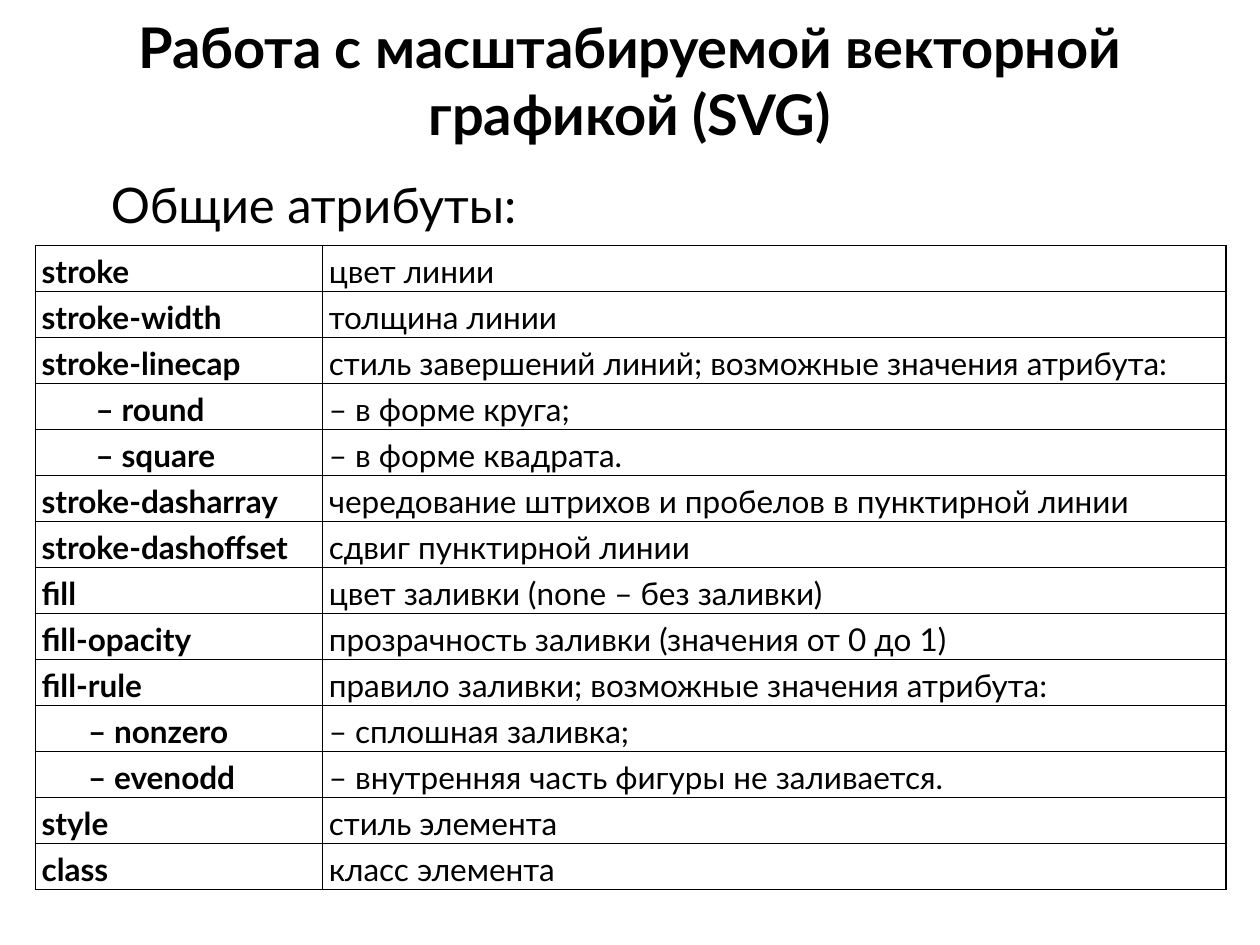
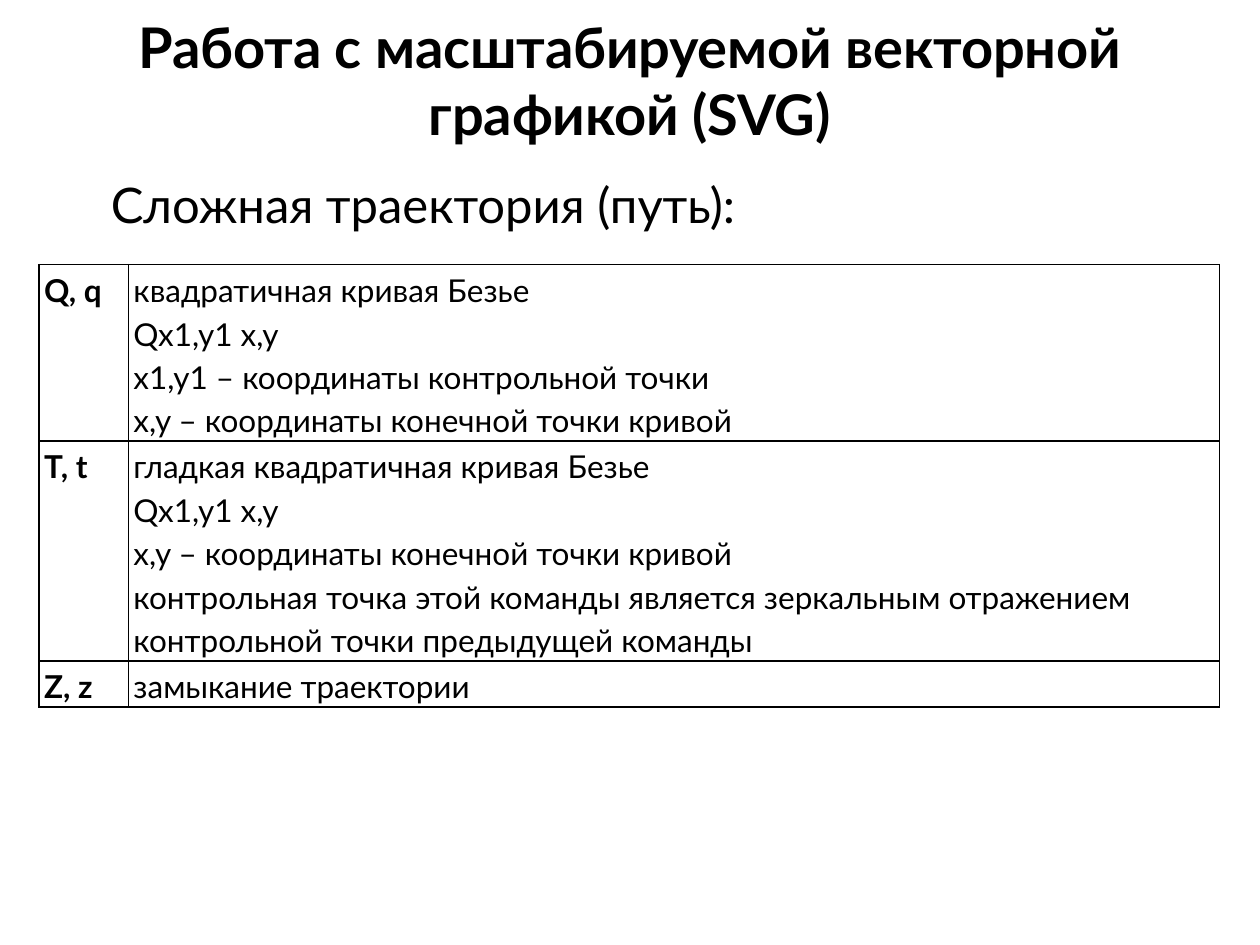
from dataclasses import dataclass

from lxml import etree
from pptx import Presentation
from pptx.dml.color import RGBColor
from pptx.enum.text import MSO_AUTO_SIZE, PP_ALIGN
from pptx.oxml.ns import qn
from pptx.util import Pt

PX = 9144
CENTER = PP_ALIGN.CENTER
LEFT = PP_ALIGN.LEFT
GROW = MSO_AUTO_SIZE.SHAPE_TO_FIT_TEXT
SIDES = ("lnL", "lnR", "lnT", "lnB")


@dataclass(frozen=True)
class Theme:
    font: str = "Lato"
    ink: str = "000000"
    paper: str = "FFFFFF"
    title: int = 32
    heading: int = 28
    body: int = 18
    border: int = 1
    tracking: int = -10


TITLE = "Работа с масштабируемой векторной графикой (SVG)"

ATTRIBUTES = [
    ("stroke", "цвет линии"),
    ("stroke-width", "толщина линии"),
    ("stroke-linecap", "стиль завершений линий; возможные значения атрибута:"),
    ("– round", "– в форме круга;"),
    ("– square", "– в форме квадрата."),
    ("stroke-dasharray", "чередование штрихов и пробелов в пунктирной линии"),
    ("stroke-dashoffset", "сдвиг пунктирной линии"),
    ("fill", "цвет заливки (none – без заливки)"),
    ("fill-opacity", "прозрачность заливки (значения от 0 до 1)"),
    ("fill-rule", "правило заливки; возможные значения атрибута:"),
    ("– nonzero", "– сплошная заливка;"),
    ("– evenodd", "– внутренняя часть фигуры не заливается."),
    ("style", "стиль элемента"),
    ("class", "класс элемента"),
]
VALUE_INDENTS = {"– round": 43, "– square": 43, "– nonzero": 37, "– evenodd": 37}

PATH_COMMANDS = [
    ("Q, q", "квадратичная кривая Безье\n"
             "Qx1,y1 x,y\n"
             "x1,y1 – координаты контрольной точки\n"
             "x,y – координаты конечной точки кривой"),
    ("T, t", "гладкая квадратичная кривая Безье\n"
             "Qx1,y1 x,y\n"
             "x,y – координаты конечной точки кривой\n"
             "контрольная точка этой команды является зеркальным отражением "
             "контрольной точки предыдущей команды"),
    ("Z, z", "замыкание траектории"),
]


def apply(target, values):
    for name, value in values.items():
        setattr(target, name, value)


class Deck:
    def __init__(self, theme):
        self.theme = theme
        self.prs = Presentation()
        apply(self.prs, {"slide_width": 1000 * PX, "slide_height": 750 * PX})
        self.s = None

    def slide(self, heading):
        self.s = self.prs.slides.add_slide(self.prs.slide_layouts[6])
        self.title(TITLE)
        self.heading(heading)

    def paragraph(self, p, text, size, bold=False, indent=0, **layout):
        p.text = text
        apply(p, layout)
        if indent:
            p._p.get_or_add_pPr().set("marL", str(indent * PX))
        for r in p.runs:
            apply(r.font, {"name": self.theme.font, "size": Pt(size), "bold": bold})
            r.font.color.rgb = RGBColor.from_string(self.theme.ink)

    def text_box(self, left, top, width, height, **frame):
        sp = self.s.shapes.add_textbox(left * PX, top * PX, width * PX, height * PX)
        tf = sp.text_frame
        apply(tf, {"word_wrap": True, "auto_size": GROW, **frame})
        return tf.paragraphs[0]

    def title(self, text):
        p = self.text_box(0, 5, 1000, 118)
        self.paragraph(p, text, self.theme.title, bold=True, alignment=CENTER)
        for r in p.runs:
            r._r.get_or_add_rPr().set("spc", str(self.theme.tracking))

    def heading(self, text):
        p = self.text_box(87, 130, 827, 52, margin_left=0, margin_top=7 * PX,
                          margin_right=0, margin_bottom=0)
        self.paragraph(p, text, self.theme.heading, indent=1, alignment=LEFT,
                       line_spacing=Pt(34.6), space_before=Pt(5.3))

    def border(self, cell):
        tcPr = cell._tc.get_or_add_tcPr()
        for side in SIDES:
            ln = etree.SubElement(tcPr, qn(f"a:{side}"), w=str(Pt(self.theme.border)))
            fill = etree.SubElement(ln, qn("a:solidFill"))
            etree.SubElement(fill, qn("a:srgbClr"), val=self.theme.ink)

    def table(self, left, top, widths, heights, rows, inset, indents):
        frame = self.s.shapes.add_table(len(rows), len(widths), left * PX, top * PX,
                                        sum(widths) * PX, sum(heights) * PX)
        table = frame.table
        apply(table, {"first_row": False, "horz_banding": False})
        for column, width in zip(table.columns, widths):
            column.width = width * PX
        for row, height, texts in zip(table.rows, heights, rows):
            row.height = height * PX
            for i, (cell, text) in enumerate(zip(row.cells, texts)):
                apply(cell, {"margin_left": inset * PX, "margin_right": inset * PX,
                             "margin_top": PX, "margin_bottom": PX})
                self.paragraph(cell.text_frame.paragraphs[0], text, self.theme.body,
                               bold=i == 0, indent=indents.get(text, 0),
                               alignment=LEFT, line_spacing=1.15)
                self.border(cell)
                cell.fill.solid()
                cell.fill.fore_color.rgb = RGBColor.from_string(self.theme.paper)


def main():
    deck = Deck(Theme())
    deck.slide("Общие атрибуты:")
    deck.table(28, 195, (228, 717), [36] * len(ATTRIBUTES), ATTRIBUTES, 5, VALUE_INDENTS)
    deck.slide("Сложная траектория (путь):")
    deck.table(31, 210, (71, 866), (140, 174, 36), PATH_COMMANDS, 4, {})
    deck.prs.save("out.pptx")


if __name__ == "__main__":
    main()
